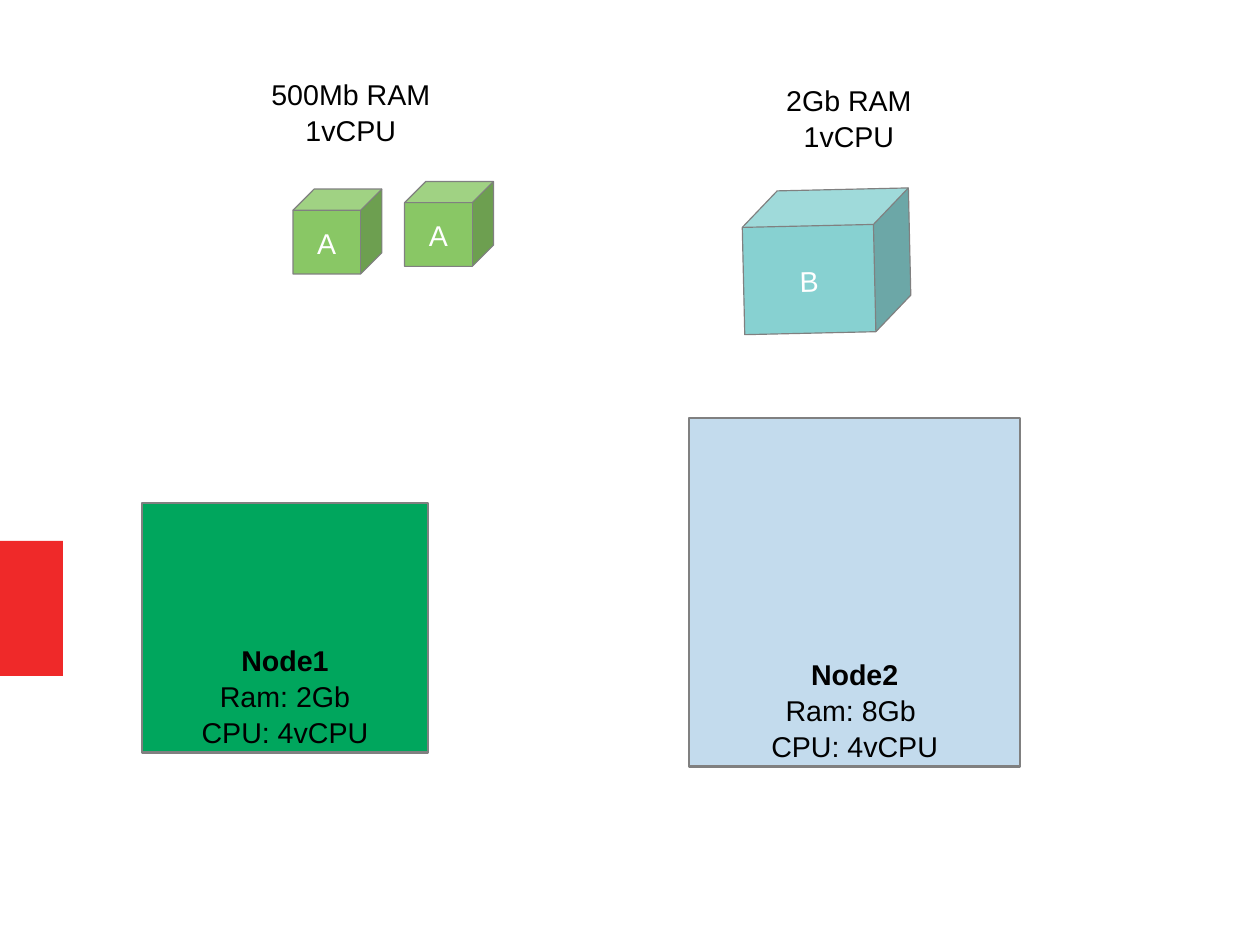
from lxml.etree import SubElement
from pptx import Presentation
from pptx.dml.color import RGBColor
from pptx.enum.shapes import MSO_SHAPE
from pptx.enum.text import MSO_ANCHOR, PP_ALIGN
from pptx.oxml.ns import qn
from pptx.util import Pt

FONT = "Arial"
BLACK = "000000"
WHITE = "FFFFFF"
OUTLINE = "808080"
APP_A = "89C765"


def set_color(color_format, color):
    color_format.rgb = RGBColor.from_string(color)


def paint(shape, color, line_width=0, opacity=100):
    shape.shadow.inherit = False
    shape.fill.solid()
    set_color(shape.fill.fore_color, color)
    if opacity < 100:
        fill_color = shape.fill._xPr.find(qn("a:solidFill"))[0]
        SubElement(fill_color, qn("a:alpha"), val=str(opacity * 1000))
    if line_width:
        set_color(shape.line.color, OUTLINE)
        shape.line.width = Pt(line_width)
    else:
        shape.line.fill.background()


def write_lines(shape, lines, color, anchor, wrap, bold_first=False):
    frame = shape.text_frame
    frame.word_wrap = wrap
    frame.vertical_anchor = anchor
    for index, line in enumerate(lines):
        paragraph = frame.add_paragraph() if index else frame.paragraphs[0]
        paragraph.alignment = PP_ALIGN.CENTER
        paragraph.line_spacing = 1.05
        run = paragraph.add_run()
        run.text = line
        run.font.name = FONT
        run.font.size = Pt(18)
        run.font.bold = bold_first and index == 0
        set_color(run.font.color, color)


def add_block(slide, kind, left, top, width, height):
    return slide.shapes.add_shape(kind, Pt(left), Pt(top), Pt(width), Pt(height))


def add_accent(slide, left, top, width, height, color):
    paint(add_block(slide, MSO_SHAPE.RECTANGLE, left, top, width, height), color)


def add_node(slide, left, top, width, height, color, lines, opacity=100):
    node = add_block(slide, MSO_SHAPE.RECTANGLE, left, top, width, height)
    paint(node, color, 1.5, opacity)
    write_lines(node, lines, BLACK, MSO_ANCHOR.BOTTOM, False, True)
    node.text_frame.margin_bottom = Pt(2)


def add_app(slide, left, top, width, height, color, name, rotation=0):
    app = add_block(slide, MSO_SHAPE.CUBE, left, top, width, height)
    app.rotation = rotation
    paint(app, color, 0.75)
    write_lines(app, [name], WHITE, MSO_ANCHOR.MIDDLE, False)


def add_requirement(slide, left, top, width, height, lines):
    box = slide.shapes.add_textbox(Pt(left), Pt(top), Pt(width), Pt(height))
    write_lines(box, lines, BLACK, MSO_ANCHOR.TOP, True)


def main():
    presentation = Presentation()
    presentation.slide_width = Pt(793.5)
    presentation.slide_height = Pt(595.5)
    slide = presentation.slides.add_slide(presentation.slide_layouts[6])

    add_accent(slide, 0, 340.5, 39.6, 85, "EF2929")
    add_node(slide, 89.5, 316.8, 180, 157, "00A65D",
             ["Node1", "Ram: 2Gb", "CPU: 4vCPU"])
    add_requirement(slide, 163.4, 44, 115, 67.7, ["500Mb RAM", "1vCPU"])
    add_requirement(slide, 457.2, 47.5, 154.8, 69.8, ["2Gb RAM", "1vCPU"])
    add_app(slide, 468, 119.5, 105.1, 90, "87D1D1", "B", 358.7)
    add_node(slide, 434, 263.3, 208.5, 219.2, "1B75BC",
             ["Node2", "Ram: 8Gb ", "CPU: 4vCPU"], 26)
    for left, top in [(184.5, 119), (254.8, 114.2)]:
        add_app(slide, left, top, 56, 53.5, APP_A, "A")

    presentation.save("out.pptx")


if __name__ == "__main__":
    main()
